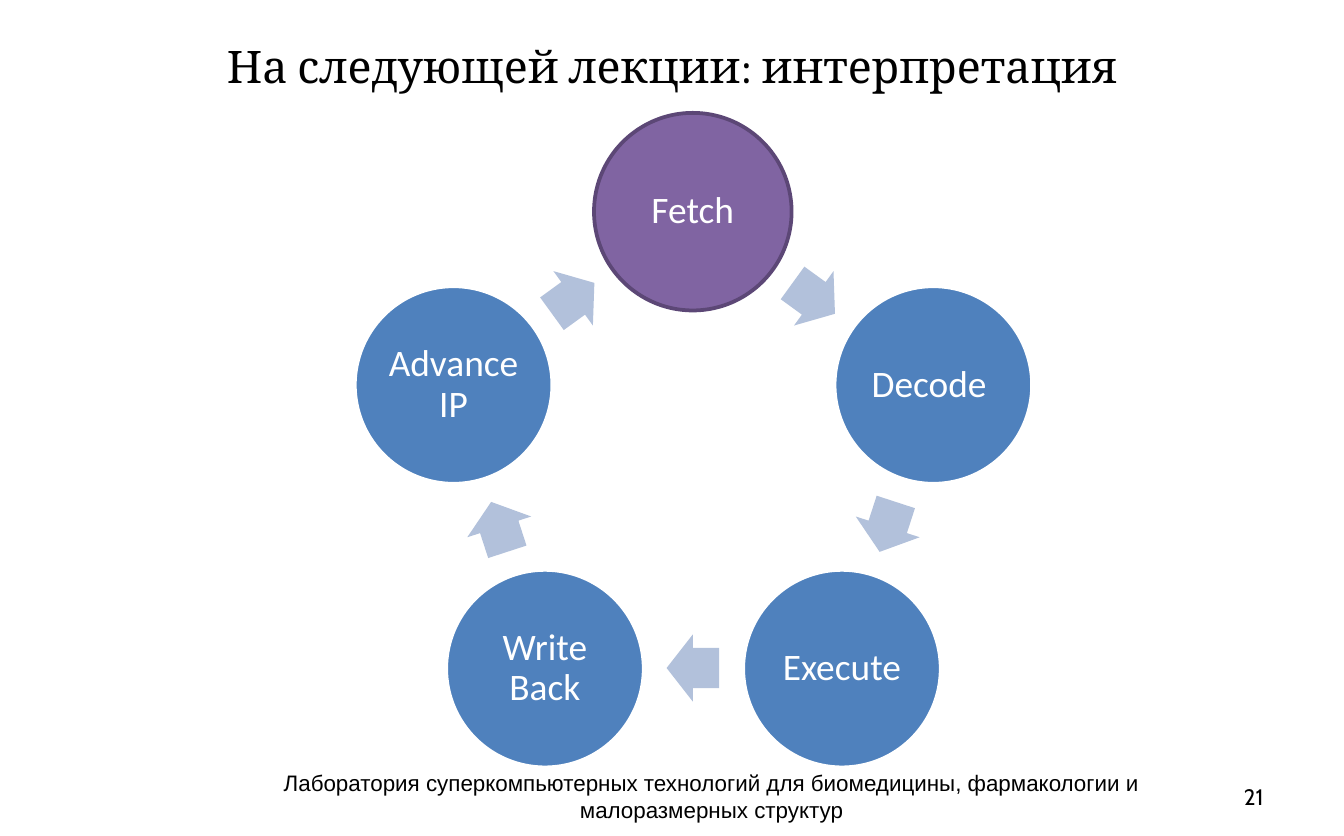
import math

import pptx
import pptx.dml.color
import pptx.enum.shapes
import pptx.enum.text
import pptx.util

PX = 9144
COLORS = {
    "black": "000000",
    "white": "FFFFFF",
    "blue": "4F81BD",
    "purple": "8064A2",
    "purple_line": "5C4776",
    "arrow": "B2C1DB",
}
STAGES = ["Fetch", "Decode ", "Execute", "Write Back", "Advance IP"]
STEP = 360 / len(STAGES)
CENTER = (516, 345)
RADIUS = 188
DIAMETER = 147
ARROW_SIZE = (39, 50)
ALIGN = pptx.enum.text.PP_ALIGN


def px(value):
    return pptx.util.Emu(round(value) * PX)


def rgb(name):
    return pptx.dml.color.RGBColor.from_string(COLORS[name])


def write(shape, text, font, size, color="black", align=ALIGN.CENTER):
    frame = shape.text_frame
    frame.word_wrap = True
    frame.auto_size = pptx.enum.text.MSO_AUTO_SIZE.NONE
    frame.vertical_anchor = pptx.enum.text.MSO_ANCHOR.MIDDLE
    paragraph = frame.paragraphs[0]
    paragraph.alignment = align
    run = paragraph.add_run()
    run.text = text
    run.font.name = font
    run.font.size = pptx.util.Pt(size)
    run.font.color.rgb = rgb(color)
    return paragraph


def add_title(slide, text):
    title = slide.shapes.title
    title.left, title.top, title.width, title.height = map(px, (50, 12, 900, 74))
    write(title, text, "Cambria", 24)


def add_label(slide, box, text, font, align=ALIGN.CENTER):
    label = slide.shapes.add_textbox(*map(px, box))
    write(label, text, font, 12, align=align)


def ring_box(angle, radius, width, height):
    turn = math.radians(angle)
    x = CENTER[0] + radius * math.sin(turn)
    y = CENTER[1] - radius * math.cos(turn)
    return [px(value) for value in (x - width / 2, y - height / 2, width, height)]


def add_filled(group, kind, box, fill):
    shape = group.shapes.add_shape(kind, *box)
    shape.shadow.inherit = False
    shape.fill.solid()
    shape.fill.fore_color.rgb = rgb(fill)
    return shape


def add_stage(group, text, angle, fill, line):
    box = ring_box(angle, RADIUS, DIAMETER, DIAMETER)
    circle = add_filled(group, pptx.enum.shapes.MSO_SHAPE.OVAL, box, fill)
    circle.line.color.rgb = rgb(line)
    circle.line.width = pptx.util.Pt(2)
    paragraph = write(circle, text, "Calibri", 20, "white")
    paragraph.line_spacing = 0.9
    paragraph.space_after = pptx.util.Pt(8)
    frame = circle.text_frame
    frame.margin_left = frame.margin_right = px(2)
    frame.margin_top = frame.margin_bottom = px(2)


def add_arrow(group, angle):
    apothem = RADIUS * math.cos(math.radians(STEP / 2))
    box = ring_box(angle, apothem, *ARROW_SIZE)
    arrow = add_filled(group, pptx.enum.shapes.MSO_SHAPE.RIGHT_ARROW, box, "arrow")
    arrow.line.fill.background()
    arrow.adjustments[0] = 0.6
    arrow.adjustments[1] = 0.5
    arrow.rotation = angle


def add_cycle(slide):
    group = slide.shapes.add_group_shape()
    for index, text in enumerate(STAGES):
        fill, line = ("blue", "white") if index else ("purple", "purple_line")
        add_stage(group, text, index * STEP, fill, line)
        add_arrow(group, (index + 0.5) * STEP)


def main():
    presentation = pptx.Presentation()
    presentation.slide_width = px(1000)
    presentation.slide_height = px(622)
    slide = presentation.slides.add_slide(presentation.slide_layouts[5])
    add_title(slide, "На следующей лекции: интерпретация")
    add_label(
        slide,
        (167, 576, 725, 33),
        "Лаборатория суперкомпьютерных технологий для биомедицины, "
        "фармакологии и малоразмерных структур",
        "Arial",
    )
    add_label(slide, (908, 576, 42, 33), "21", "Cabin", ALIGN.RIGHT)
    add_cycle(slide)
    presentation.save("out.pptx")


if __name__ == "__main__":
    main()
